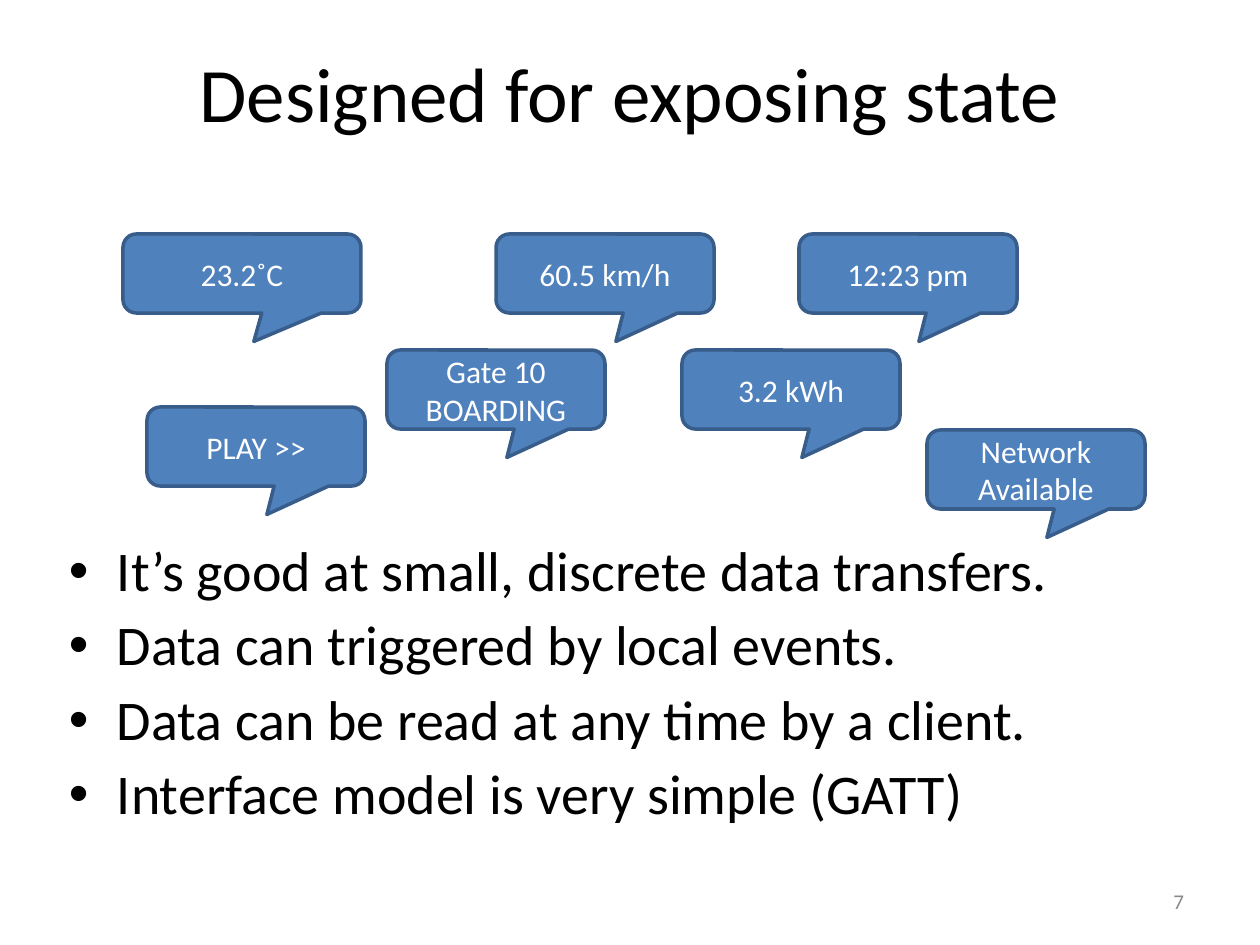
import pptx
import pptx.dml.color
import pptx.enum.shapes
import pptx.enum.text
import pptx.oxml
import pptx.util

RGBColor = pptx.dml.color.RGBColor
ALIGN = pptx.enum.text.PP_ALIGN
ANCHOR = pptx.enum.text.MSO_ANCHOR

BLACK = RGBColor(0x00, 0x00, 0x00)
WHITE = RGBColor(0xFF, 0xFF, 0xFF)
GREY = RGBColor(0x89, 0x89, 0x89)
BLUE = RGBColor(0x4F, 0x81, 0xBD)
DARK_BLUE = RGBColor(0x38, 0x5D, 0x8A)

PX_PER_INCH = 126
BUBBLE_WIDTH, BUBBLE_HEIGHT = 218, 79
TOP_ROW, MIDDLE_ROW = 234, 350


def px(n):
    return pptx.util.Emu(round(n * 914400 / PX_PER_INCH))


def write(tf, text, size=18, color=BLACK, align=ALIGN.LEFT, anchor=ANCHOR.MIDDLE,
          font="Calibri", margins=(13, 6, 13, 6), spacing=None, before=None):
    tf.word_wrap = True
    tf.vertical_anchor = anchor
    tf.margin_left, tf.margin_top, tf.margin_right, tf.margin_bottom = map(px, margins)
    for i, line in enumerate(text.split("\n")):
        p = tf.paragraphs[0] if i == 0 else tf.add_paragraph()
        p.alignment = align
        if spacing is not None:
            p.line_spacing = spacing
        if before is not None:
            p.space_before = pptx.util.Pt(before)
        r = p.add_run()
        r.text = line
        r.font.name = font
        r.font.size = pptx.util.Pt(size)
        r.font.color.rgb = color


def add_bullet(p, indent):
    pPr = p._p.get_or_add_pPr()
    pPr.set("marL", str(px(indent)))
    pPr.set("indent", str(-px(indent)))
    ns = pptx.oxml.ns.nsdecls("a")
    for xml in (f'<a:buFont {ns} typeface="Arial"/>', f'<a:buChar {ns} char="•"/>'):
        pPr.append(pptx.oxml.parse_xml(xml))


class SlideBuilder:
    def __init__(self, slide):
        self.slide = slide
        self.fill, self.line, self.line_width = BLUE, DARK_BLUE, pptx.util.Pt(2)

    def text(self, text, x, y, w, h, **style):
        sp = self.slide.shapes.add_textbox(px(x), px(y), px(w), px(h))
        write(sp.text_frame, text, **style)
        return sp

    def bullets(self, lines, x, y, w, h, indent=48, **style):
        sp = self.text("\n".join(lines), x, y, w, h, **style)
        for p in sp.text_frame.paragraphs:
            add_bullet(p, indent)

    def bubble(self, text, x, y, w=BUBBLE_WIDTH):
        sp = self.slide.shapes.add_shape(
            pptx.enum.shapes.MSO_SHAPE.ROUNDED_RECTANGULAR_CALLOUT,
            px(x), px(y), px(w), px(BUBBLE_HEIGHT))
        for i, value in enumerate((0.05, 0.86, 0.17)):
            sp.adjustments[i] = value
        sp.shadow.inherit = False
        sp.fill.solid()
        sp.fill.fore_color.rgb = self.fill
        sp.line.color.rgb = self.line
        sp.line.width = self.line_width
        write(sp.text_frame, text, color=WHITE, align=ALIGN.CENTER)


def main():
    prs = pptx.Presentation()
    prs.slide_width, prs.slide_height = px(1260), px(945)
    s = SlideBuilder(prs.slides.add_slide(prs.slide_layouts[6]))

    s.text("Designed for exposing state", 63, 38, 1134, 107, size=44,
           align=ALIGN.CENTER, margins=(0, 0, 0, 0))
    s.bullets(["It’s good at small, discrete data transfers.",
               "Data can triggered by local events.",
               "Data can be read at any time by a client.",
               "Interface model is very simple (GATT)"],
              63, 155, 1134, 704, size=32, anchor=ANCHOR.BOTTOM,
              margins=(6, 0, 6, 32), spacing=0.9, before=8)
    s.text("7", 903, 876, 294, 50, size=12, color=GREY, align=ALIGN.RIGHT)

    s.bubble("23.2˚C", 123, TOP_ROW, w=238)
    for text, x, y in (("Gate 10 BOARDING", 387, MIDDLE_ROW),
                       ("12:23 pm", 799, TOP_ROW),
                       ("60.5 km/h", 496, TOP_ROW),
                       ("3.2 kWh", 682, MIDDLE_ROW),
                       ("PLAY >>", 147, 407),
                       ("Network Available", 927, 430)):
        s.bubble(text, x, y)

    prs.save("out.pptx")


if __name__ == "__main__":
    main()
